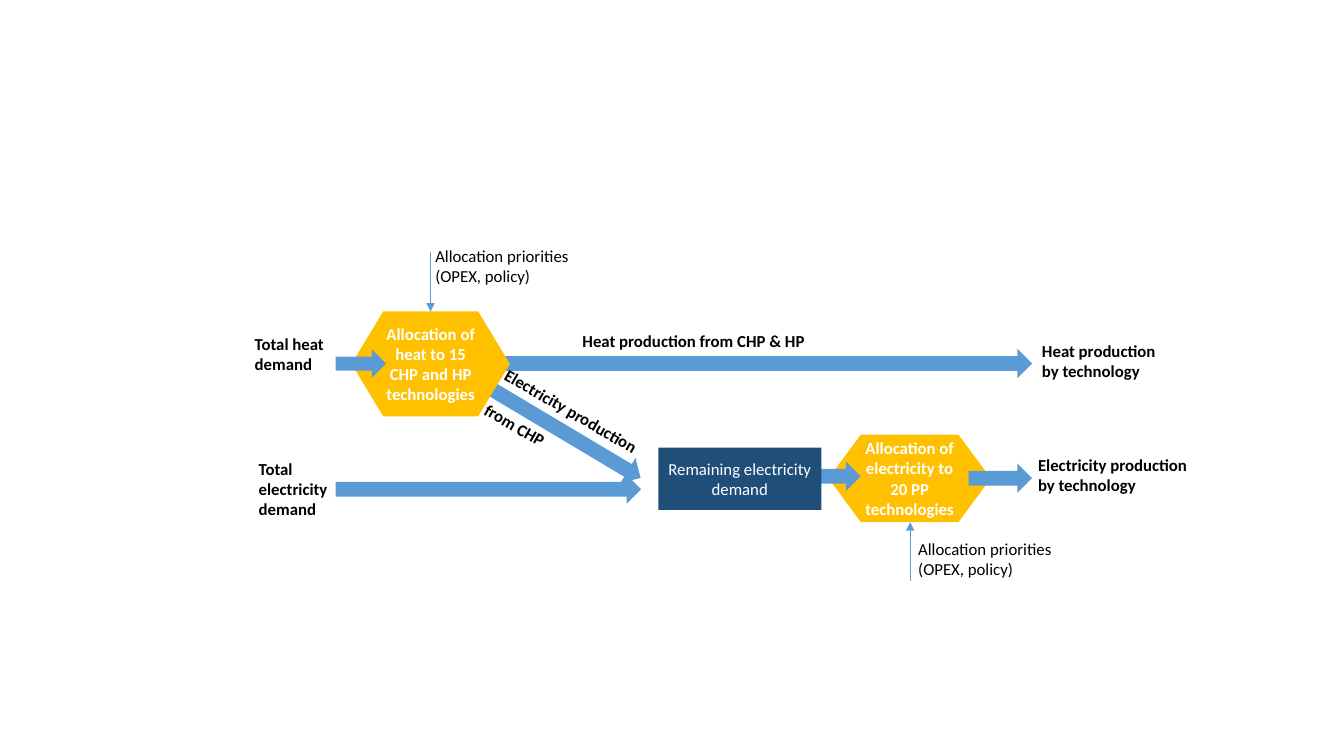
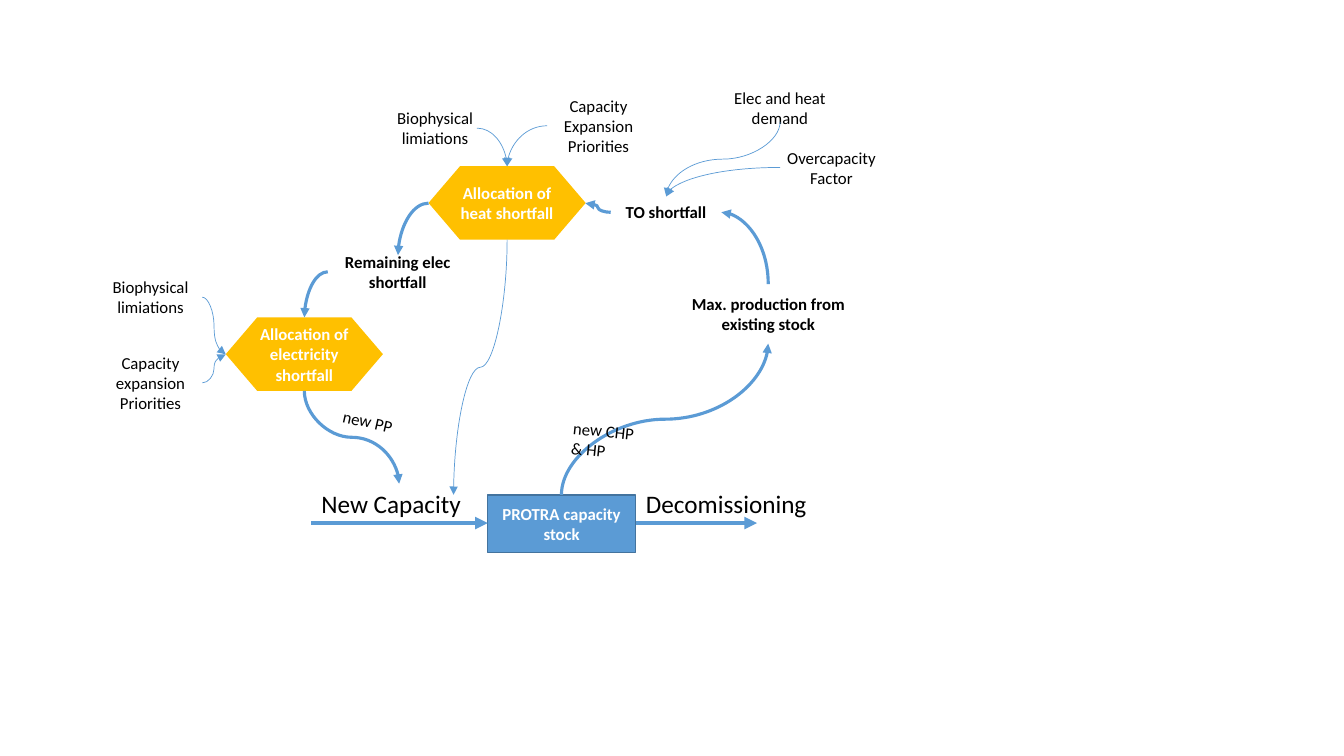
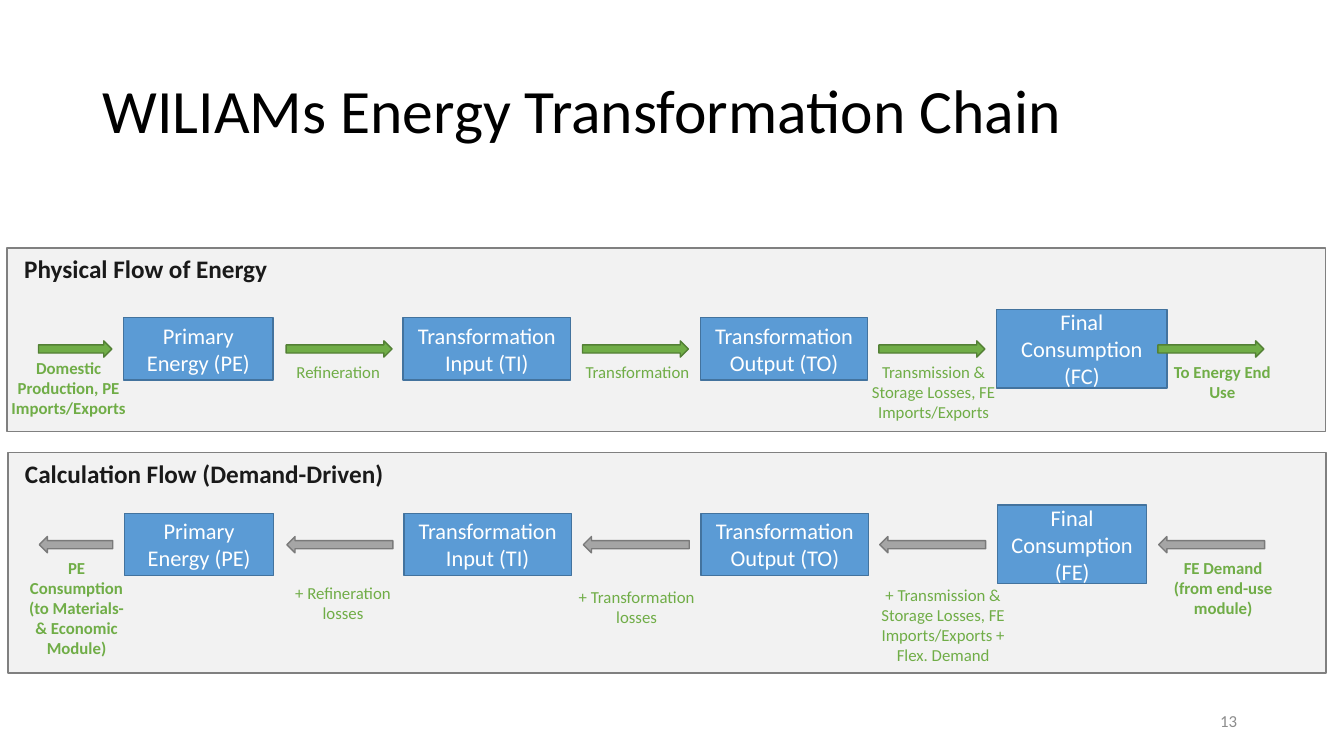
from dataclasses import dataclass
from typing import Any

from lxml.etree import SubElement
from pptx import Presentation
from pptx.dml.color import RGBColor
from pptx.enum.shapes import MSO_CONNECTOR as CONNECTOR, MSO_SHAPE as SHAPE
from pptx.enum.text import MSO_ANCHOR as ANCHOR, PP_ALIGN as ALIGN
from pptx.oxml.ns import qn
from pptx.util import Cm, Pt

FONT = "Calibri"
BLACK = RGBColor(0x00, 0x00, 0x00)
WHITE = RGBColor(0xFF, 0xFF, 0xFF)
BLUE = RGBColor(0x5B, 0x9B, 0xD5)
BLUE_EDGE = RGBColor(0x43, 0x73, 0x9E)
NAVY = RGBColor(0x1F, 0x4E, 0x79)
AMBER = RGBColor(0xFF, 0xC0, 0x00)
GREEN = RGBColor(0x70, 0xAD, 0x47)
GREEN_EDGE = RGBColor(0x53, 0x80, 0x35)
GREY = RGBColor(0xA5, 0xA5, 0xA5)
GREY_EDGE = RGBColor(0x7A, 0x7A, 0x7A)
PANEL = RGBColor(0xF2, 0xF2, 0xF2)
PANEL_EDGE = RGBColor(0x80, 0x80, 0x80)
HEADING = RGBColor(0x1A, 0x1A, 0x1A)
NUMBER = RGBColor(0x8C, 0x8C, 0x8C)

THIN, CURVED, THICK = 0.5, 2.25, 3
PRIORITIES = "Allocation priorities (OPEX, policy)"


def write(shape, text, size=12, color=BLACK, bold=False, align=ALIGN.LEFT,
          anchor=ANCHOR.TOP, inset=None, gap=0, spacing=None):
    frame = shape.text_frame
    frame.word_wrap = True
    frame.vertical_anchor = anchor
    if inset is not None:
        frame.margin_left = frame.margin_right = Cm(inset)
    for index, line in enumerate(text.split("\n")):
        paragraph = frame.add_paragraph() if index else frame.paragraphs[0]
        paragraph.alignment = align
        if index:
            paragraph.space_before = Pt(gap)
        if spacing:
            paragraph.line_spacing = spacing
        run = paragraph.add_run()
        run.text = line
        run.font.name = FONT
        run.font.size = Pt(size)
        run.font.bold = bold
        run.font.color.rgb = color


@dataclass
class Board:
    slide: Any
    left: float
    top: float

    def point(self, x, y):
        return Cm(self.left + x), Cm(self.top + y)

    def label(self, x, y, width, height, text, rotation=0, **style):
        shape = self.slide.shapes.add_textbox(*self.point(x, y), Cm(width), Cm(height))
        shape.rotation = rotation
        write(shape, text, **style)

    def block(self, kind, x, y, width, height, fill=None, edge=None, text="",
              rotation=0, **style):
        shape = self.slide.shapes.add_shape(kind, *self.point(x, y), Cm(width), Cm(height))
        shape.shadow.inherit = False
        shape.rotation = rotation
        if fill is None:
            shape.fill.background()
        else:
            shape.fill.solid()
            shape.fill.fore_color.rgb = fill
        if edge is None:
            shape.line.fill.background()
        else:
            shape.line.color.rgb = edge
            shape.line.width = Pt(1)
        if text:
            write(shape, text, align=ALIGN.CENTER, anchor=ANCHOR.MIDDLE, **style)

    def arrow(self, x, y, width, height=0.74, rotation=0):
        self.block(SHAPE.RIGHT_ARROW, x, y, width, height, BLUE, rotation=rotation)

    def hexagon(self, x, y, width, height, text):
        self.block(SHAPE.FLOWCHART_PREPARATION, x, y, width, height, AMBER, text=text,
                   color=WHITE, bold=True, inset=0)

    def node(self, x, y, width, height, text, bold=False, inset=0):
        self.block(SHAPE.ROUNDED_RECTANGLE, x, y, width, height, text=text,
                   bold=bold, inset=inset)

    def line(self, start, end, weight=THIN, kind=CONNECTOR.STRAIGHT):
        connector = self.slide.shapes.add_connector(
            kind, *self.point(*start), *self.point(*end))
        connector.line.color.rgb = BLUE
        connector.line.width = Pt(weight)
        properties = connector._element.spPr
        SubElement(properties.find(qn("a:ln")), qn("a:tailEnd"), type="triangle")
        SubElement(properties, qn("a:effectLst"))
        return properties

    def curve(self, start, end, axes, weight=THIN):
        dx, dy = end[0] - start[0], end[1] - start[1]
        if axes[0] == "h":
            turn = 2 if dx < 0 else 0
        else:
            turn = 1 if dx * dy < 0 else 3
        across, down = [(dx, dy), (dy, -dx), (-dx, -dy), (-dy, dx)][turn]
        middle_x, middle_y = start[0] + dx / 2, start[1] + dy / 2
        properties = self.line((middle_x - across / 2, middle_y - down / 2),
                               (middle_x + across / 2, middle_y + down / 2),
                               weight, CONNECTOR.CURVE)
        properties.find(qn("a:xfrm")).set("rot", str(turn * 5400000))
        if axes[0] != axes[1]:
            properties.find(qn("a:prstGeom")).set("prst", "curvedConnector2")


def allocation_flow(slide, left, top):
    board = Board(slide, left, top)
    board.arrow(2.36, 5.96, 7.7)
    board.arrow(6.07, 2.79, 13.84)
    board.arrow(5.2, 4.34, 5.21, rotation=30.8)
    board.hexagon(2.76, 1.85, 3.99, 2.64,
                  "Allocation of heat to 15 CHP and HP technologies")
    board.hexagon(14.78, 4.95, 4.09, 2.21,
                  "Allocation of electricity to 20 PP technologies")
    board.arrow(2.36, 2.81, 1.27, 0.71)
    board.arrow(13.61, 5.63, 1.98)
    board.block(SHAPE.RECTANGLE, 10.49, 5.28, 4.11, 1.57, NAVY,
                text="Remaining electricity demand", color=WHITE)
    board.arrow(18.31, 5.68, 1.6)
    for x, y, width, height, text in [
        (0.07, 2.28, 2.87, 1.27, "Total heat demand"),
        (0.17, 5.43, 2.87, 1.8, "Total electricity demand"),
        (8.33, 2.2, 6.88, 0.76, "Heat production from CHP & HP"),
        (19.91, 2.46, 3.51, 1.27, "Heat production by technology"),
        (19.81, 5.33, 4.52, 1.27, "Electricity production by technology"),
    ]:
        board.label(x, y, width, height, text, bold=True)
    board.label(5.86, 4.06, 4.88, 1.8, "Electricity production\nfrom CHP",
                rotation=30, bold=True, gap=14.4)
    board.line((4.75, 0.35), (4.75, 1.85))
    board.label(4.62, 0.07, 4.22, 1.27, PRIORITIES)
    board.line((16.84, 8.63), (16.84, 7.16))
    board.label(16.79, 7.44, 4.22, 1.27, PRIORITIES)


def capacity_loop(slide, left, top):
    board = Board(slide, left, top)
    board.block(SHAPE.RECTANGLE, 9.79, 10.17, 3.73, 1.45, BLUE, BLUE_EDGE,
                "PROTRA capacity stock", color=WHITE, bold=True)
    board.line((5.35, 10.88), (9.79, 10.88), THICK)
    board.line((13.53, 10.88), (16.58, 10.88), THICK)
    board.label(5.35, 9.89, 4.45, 1.02, "New Capacity", size=18)
    board.label(13.53, 9.87, 4.8, 1.02, "Decomissioning", size=18)

    board.hexagon(8.3, 1.89, 3.96, 1.85, "Allocation of heat shortfall")
    board.hexagon(3.19, 5.7, 3.96, 1.85, "Allocation of electricity shortfall")
    board.node(12.89, 2.65, 2.79, 0.79, "TO shortfall", True, 0.25)
    board.node(5.76, 4.13, 3.53, 0.84, "Remaining elec shortfall", True, 0.25)
    board.node(14.77, 4.86, 4.19, 1.5, "Max. production from existing stock", True)
    for x, y, width, height, text in [
        (17.16, 1.36, 2.59, 1.12, "Overcapacity Factor"),
        (15.86, 0.04, 2.59, 0.74, "Elec and heat demand"),
        (11.29, 0.21, 2.59, 1.32, "Capacity Expansion Priorities"),
        (7.41, 0.27, 2.11, 1.32, "Biophysical limiations"),
        (0, 4.53, 2.59, 1.32, "Biophysical limiations"),
        (0, 6.69, 2.59, 1.32, "Capacity expansion Priorities"),
    ]:
        board.node(x, y, width, height, text)

    heat_top, electricity_left, shortfall_top = (10.28, 1.89), (3.19, 6.63), (14.29, 2.65)
    for start, end, axes in [
        ((11.65, 10.17), (16.86, 6.36), "vv"),
        ((16.86, 4.86), (15.68, 3.05), "vh"),
        ((12.89, 3.05), (12.25, 2.82), "hh"),
        ((8.3, 2.82), (7.53, 4.13), "hv"),
        ((5.76, 4.55), (5.17, 5.7), "hv"),
        ((5.17, 7.55), (7.56, 9.89), "vv"),
    ]:
        board.curve(start, end, axes, CURVED)
    for start, end, axes in [
        ((17.16, 1.92), shortfall_top, "hv"),
        ((17.16, 0.77), shortfall_top, "vv"),
        ((11.29, 0.87), heat_top, "hv"),
        ((9.52, 0.93), heat_top, "hv"),
        ((2.6, 5.19), electricity_left, "hh"),
        ((2.6, 7.35), electricity_left, "hh"),
        ((10.28, 3.74), (8.93, 10.17), "vv"),
    ]:
        board.curve(start, end, axes)
    board.label(5.88, 7.99, 2.26, 0.76, "new PP", rotation=12.9)
    board.label(11.67, 8.19, 2.41, 1.27, "new CHP & HP", rotation=5.8)


def chain_panel(slide, left, top, width, height, heading, middle, final, captions,
                fill, edge, rotation=0):
    board = Board(slide, left, top)
    board.block(SHAPE.RECTANGLE, 0, 0, width, height, PANEL, PANEL_EDGE)
    board.label(0.18, 0, 12, 1.04, heading, size=18, color=HEADING, bold=True,
                anchor=ANCHOR.MIDDLE)
    final_text, final_width = final
    for x, box_width, box_height, text in [
        (2.94, 3.76, 1.57, "Primary Energy (PE)"),
        (9.98, 4.22, 1.57, "Transformation Input (TI)"),
        (17.47, 4.22, 1.57, "Transformation Output (TO)"),
        (24.94, final_width, 1.98, final_text),
    ]:
        board.block(SHAPE.RECTANGLE, x, middle - box_height / 2, box_width, box_height,
                    BLUE, BLUE_EDGE, text, size=16, color=WHITE)
    for x, length in [(0.79, 1.85), (7.03, 2.67), (14.5, 2.67), (21.97, 2.67), (29, 2.67)]:
        board.block(SHAPE.RIGHT_ARROW, x, middle - 0.2, length, 0.41, fill, edge,
                    rotation=rotation)
    for index, (x, y, caption_width, text) in enumerate(captions):
        board.label(x, y, caption_width, 1.27, text, color=GREEN, align=ALIGN.CENTER,
                    inset=0.1, bold=index in (0, len(captions) - 1))


def transformation_chain(slide, left, top):
    board = Board(slide, left, top)
    board.label(2.34, 1.02, 29.21, 3.68, "WILIAMs Energy Transformation Chain", size=44,
                anchor=ANCHOR.MIDDLE, spacing=0.9)
    board.label(23.81, 17.65, 7.62, 1.02, "13", color=NUMBER, align=ALIGN.RIGHT,
                anchor=ANCHOR.MIDDLE)
    chain_panel(slide, left + 0.18, top + 6.25, 33.22, 4.62, "Physical Flow of Energy",
                2.54, ("Final Consumption (FC)", 4.29), [
                    (-0.18, 2.64, 3.46, "Domestic Production, PE Imports/Exports"),
                    (7.11, 2.74, 2.47, "Refineration"),
                    (14.4, 2.74, 2.97, "Transformation"),
                    (21.61, 2.74, 3.48, "Transmission & Storage Losses, FE Imports/Exports"),
                    (29, 2.74, 3.25, "To Energy End Use"),
                ], GREEN, GREEN_EDGE)
    chain_panel(slide, left + 0.2, top + 11.4, 33.22, 5.56,
                "Calculation Flow (Demand-Driven)",
                2.32, ("Final Consumption (FE)", 3.76), [
                    (0.33, 2.52, 2.8, "PE Consumption (to Materials- & Economic Module)"),
                    (7.11, 3.15, 2.67, "+ Refineration losses"),
                    (14.27, 3.26, 3.15, "+ Transformation losses"),
                    (21.79, 3.2, 3.56, "+ Transmission & Storage Losses, FE "
                                       "Imports/Exports + Flex. Demand"),
                    (29, 2.52, 3.25, "FE Demand (from end-use module)"),
                ], GREY, GREY_EDGE, 180)


def main():
    presentation = Presentation()
    presentation.slide_width = Cm(33.87)
    presentation.slide_height = Cm(19.05)
    blank = presentation.slide_layouts[6]
    for build, left, top in [
        (allocation_flow, 6.1, 6),
        (capacity_loop, 2.5, 2.3),
        (transformation_chain, 0, 0),
    ]:
        build(presentation.slides.add_slide(blank), left, top)
    presentation.save("out.pptx")


if __name__ == "__main__":
    main()
